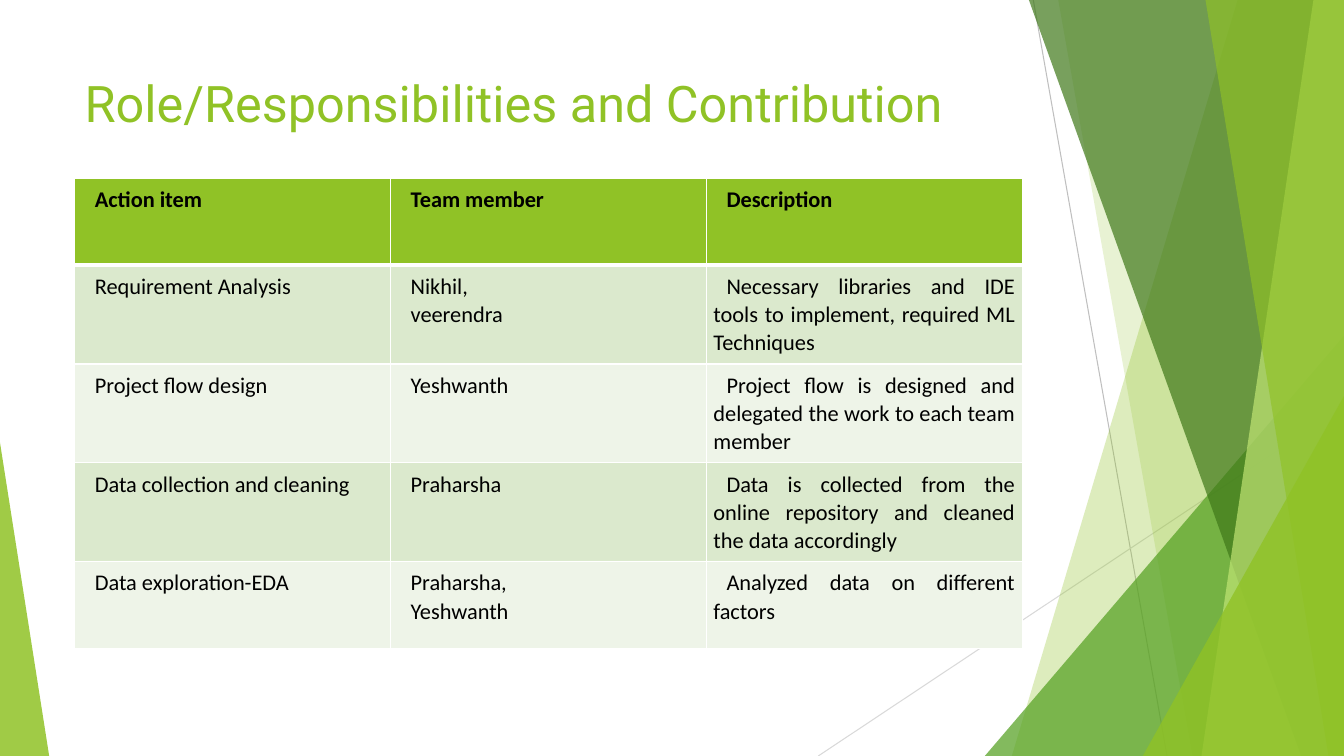
from lxml import etree
from pptx import Presentation
from pptx.dml.color import RGBColor
from pptx.enum.shapes import MSO_CONNECTOR, MSO_SHAPE
from pptx.enum.text import MSO_ANCHOR, MSO_AUTO_SIZE, PP_ALIGN
from pptx.oxml.ns import qn
from pptx.util import Cm, Pt

STRAIGHT = MSO_CONNECTOR.STRAIGHT
TRIANGLE = MSO_SHAPE.ISOSCELES_TRIANGLE
TOP = MSO_ANCHOR.TOP
NO_FIT = MSO_AUTO_SIZE.NONE
LEFT, JUSTIFY = PP_ALIGN.LEFT, PP_ALIGN.JUSTIFY

LIME = RGBColor(0x90, 0xC2, 0x26)
PALE_LIME = RGBColor(0xC0, 0xE4, 0x74)
GREEN = RGBColor(0x54, 0xA0, 0x21)
DARK_GREEN = RGBColor(0x3F, 0x78, 0x19)
BAND_DARK = RGBColor(0xDB, 0xE9, 0xCD)
BAND_LIGHT = RGBColor(0xEE, 0xF4, 0xE8)
GREY = RGBColor(0xBF, 0xBF, 0xBF)
LIGHT_GREY = RGBColor(0xD9, 0xD9, 0xD9)
BLACK = RGBColor(0, 0, 0)
WHITE = RGBColor(0xFF, 0xFF, 0xFF)

SLIDE_W, SLIDE_H = 33.87, 19.05
MARGIN_LEFT, CONTENT_W = 1.88, 23.88
ROW_H = 2.18

ROLES = [
    ("Action item", "Team member", "Description"),
    ("Requirement Analysis", "Nikhil,\nveerendra",
     "Necessary libraries and IDE tools to implement, required ML Techniques"),
    ("Project flow design", "Yeshwanth",
     "Project flow is designed and delegated the work to each team member"),
    ("Data collection and cleaning", "Praharsha",
     "Data is collected from the online repository and cleaned the data accordingly"),
    ("Data exploration-EDA", "Praharsha,\nYeshwanth",
     "Analyzed data on different factors"),
]


def write_text(frame, text, *, font, size, color, bold=False, align=LEFT,
               indent=0, line_spacing=None, space_after=0):
    """Fill a text frame, one paragraph per line of text."""
    frame.text = text
    for paragraph in frame.paragraphs:
        paragraph.alignment = align
        paragraph.line_spacing = line_spacing
        paragraph.space_after = Pt(space_after)
        if indent:
            properties = paragraph._p.get_or_add_pPr()
            properties.set("marL", "0")
            properties.set("indent", str(Cm(indent)))
        for run in paragraph.runs:
            run.font.name = font
            run.font.size = Pt(size)
            run.font.bold = bold
            run.font.color.rgb = color


def add_ray(slide, start, end, color):
    ray = slide.shapes.add_connector(STRAIGHT, *map(Cm, start + end))
    ray.line.color.rgb = color
    ray.line.width = Pt(0.75)
    etree.SubElement(ray._element.spPr, qn("a:effectLst"))


def paint(shape, color, opacity):
    """Give a shape a translucent fill, no outline and no shadow."""
    shape.shadow.inherit = False
    shape.line.fill.background()
    shape.fill.solid()
    shape.fill.fore_color.rgb = color
    rgb = shape._element.spPr.find(qn("a:solidFill"))[0]
    etree.SubElement(rgb, qn("a:alpha"), val=str(opacity * 1000))


def add_facet(slide, top_x, bottom_x, color, opacity):
    """Fill the area between a slanted edge and the right slide edge."""
    builder = slide.shapes.build_freeform(Cm(top_x), 0)
    corners = [(SLIDE_W, 0), (SLIDE_W, SLIDE_H), (bottom_x, SLIDE_H)]
    builder.add_line_segments([(Cm(x), Cm(y)) for x, y in corners])
    paint(builder.convert_to_shape(), color, opacity)


def add_corner(slide, left, width, height, apex, color, opacity):
    """Stand a right triangle on the bottom edge of the slide."""
    corner = slide.shapes.add_shape(
        TRIANGLE, Cm(left), Cm(SLIDE_H - height), Cm(width), Cm(height))
    corner.adjustments[0] = apex
    paint(corner, color, opacity)


def add_backdrop(slide):
    add_ray(slide, (26.04, 0), (29.41, SLIDE_H), GREY)
    add_ray(slide, (SLIDE_W, 10.24), (20.62, SLIDE_H), LIGHT_GREY)
    add_facet(slide, 31.19, 25.5, LIME, 30)
    add_facet(slide, 26.67, 30.05, LIME, 20)
    add_corner(slide, 24.82, 9.05, 10.59, 1, GREEN, 72)
    add_facet(slide, 25.93, 32.79, DARK_GREEN, 70)
    add_facet(slide, 33.1, 30.28, PALE_LIME, 70)
    add_facet(slide, 30.38, 33.48, LIME, 65)
    add_corner(slide, 28.8, 5.07, 9.07, 1, LIME, 80)
    add_corner(slide, 0, 1.24, 7.9, 0, LIME, 85)


def set_title(slide, text):
    title = slide.shapes.title
    title.left, title.top = Cm(MARGIN_LEFT), Cm(1.7)
    title.width, title.height = Cm(CONTENT_W), Cm(3.66)
    frame = title.text_frame
    frame.vertical_anchor = TOP
    frame.word_wrap = True
    frame.auto_size = NO_FIT
    write_text(frame, text, font="Roboto", size=36, color=LIME)


def set_borders(cell, top, bottom):
    properties = cell._tc.get_or_add_tcPr()
    widths = {"lnL": 1, "lnR": 1, "lnT": top, "lnB": bottom}
    for position, (side, width) in enumerate(widths.items()):
        border = etree.Element(qn("a:" + side), w=str(Pt(width)))
        fill = etree.SubElement(border, qn("a:solidFill"))
        etree.SubElement(fill, qn("a:srgbClr"), val=str(WHITE))
        properties.insert(position, border)


def add_roles_table(slide, rows):
    columns = len(rows[0])
    table = slide.shapes.add_table(
        len(rows), columns, Cm(MARGIN_LEFT), Cm(4.5),
        Cm(CONTENT_W), Cm(ROW_H * len(rows))).table
    for r, entries in enumerate(rows):
        header = r == 0
        band = LIME if header else BAND_DARK if r % 2 else BAND_LIGHT
        for c, entry in enumerate(entries):
            cell = table.cell(r, c)
            cell.fill.solid()
            cell.fill.fore_color.rgb = band
            cell.margin_left = cell.margin_right = Cm(0.18)
            cell.margin_top = cell.margin_bottom = Cm(0.18)
            # The thick rule separates the header from the first row
            set_borders(cell, top=3 if r == 1 else 1, bottom=3 if header else 1)
            write_text(cell.text_frame, entry, font="Calibri", size=16,
                       color=BLACK, bold=header, align=JUSTIFY, indent=0.33,
                       line_spacing=1.03, space_after=0.2)


def main():
    presentation = Presentation()
    presentation.slide_width = Cm(SLIDE_W)
    presentation.slide_height = Cm(SLIDE_H)
    title_only = presentation.slide_layouts[5]
    slide = presentation.slides.add_slide(title_only)

    add_backdrop(slide)
    set_title(slide, "Role/Responsibilities and Contribution")
    add_roles_table(slide, ROLES)
    presentation.save("out.pptx")


main()
